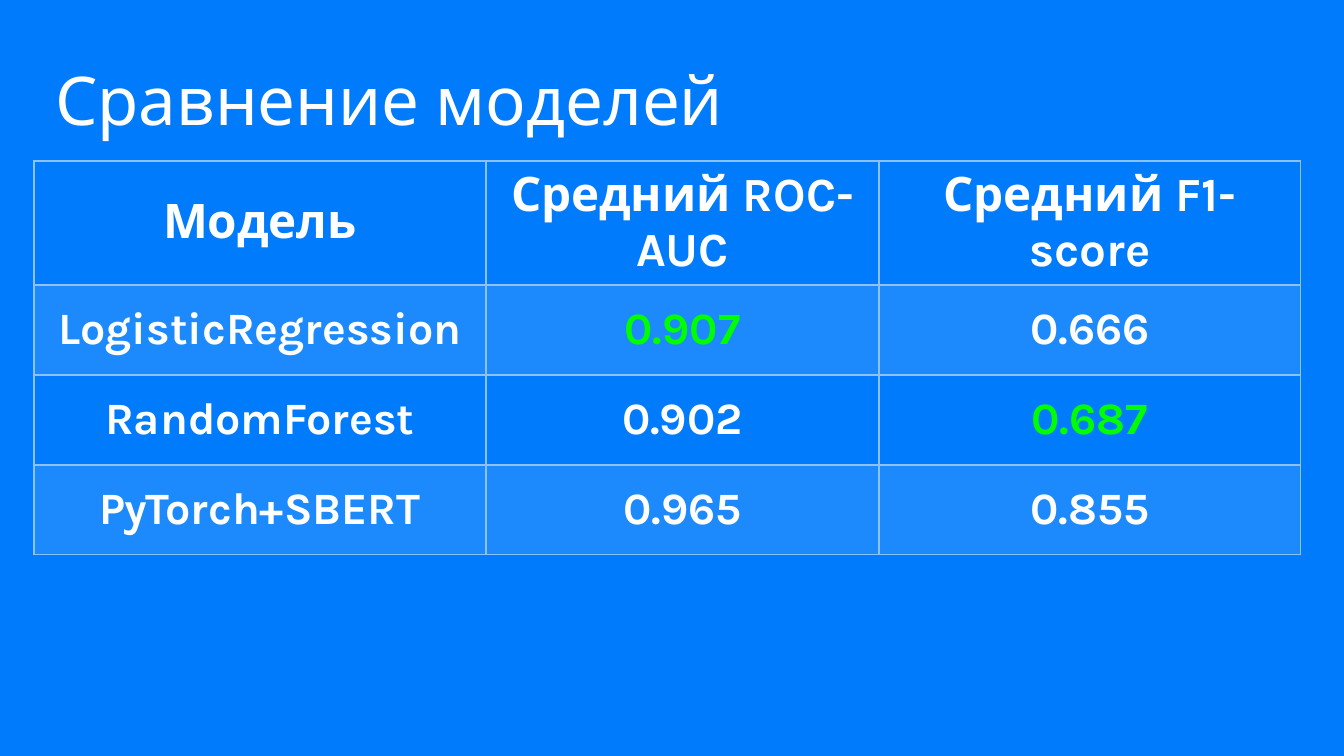
"""Build a slide with a table that compares the scores of three models."""
import lxml.etree
import pptx
import pptx.dml.color
import pptx.enum.text
import pptx.oxml
import pptx.oxml.ns
import pptx.util

PX = 914400 / 100.8
BLUE, PALE, WHITE, GREEN = "007BFC", "8DC1FC", "FEFFFE", "00FE00"
MIDDLE = pptx.enum.text.MSO_ANCHOR.MIDDLE


def px(n):
    return pptx.util.Emu(round(n * PX))


def style(p, color, **values):
    for name, value in values.items():
        setattr(p.font, name, value)
    p.font.name = "Karla"
    p.font.color.rgb = pptx.dml.color.RGBColor.from_string(color)


prs = pptx.Presentation()
prs.slide_width, prs.slide_height = px(1344), px(756)
s = prs.slides.add_slide(prs.slide_layouts[5])
s.background.fill.solid()
s.background.fill.fore_color.rgb = pptx.dml.color.RGBColor.from_string(BLUE)

title = s.shapes.title
title.left, title.top, title.width, title.height = map(px, (55, 68, 1246, 72))
tf = title.text_frame
frame = {"margin_left": 0, "margin_top": 0, "margin_right": 0, "margin_bottom": 0,
         "vertical_anchor": MIDDLE, "word_wrap": True,
         "auto_size": pptx.enum.text.MSO_AUTO_SIZE.NONE}
for name, value in frame.items():
    setattr(tf, name, value)
tf.text = "Сравнение моделей"
p = tf.paragraphs[0]
p.alignment = pptx.enum.text.PP_ALIGN.LEFT
p.line_spacing = 0.9
style(p, "FFFFFF", size=pptx.util.Pt(48))

rows = [
    ("Модель", "Средний ROC-AUC", "Средний F1-score"),
    ("LogisticRegression", "0.907", "0.666"),
    ("RandomForest", "0.902", "0.687"),
    ("PyTorch+SBERT", "0.965", "0.855"),
]
highlighted = {"0.907", "0.687"}
widths = (452, 393, 422)
heights = (124, 90, 90, 90)

table = s.shapes.add_table(len(rows), len(widths), px(34), px(161),
                           px(sum(widths)), px(sum(heights))).table
table.first_row = table.horz_banding = False
for column, width in zip(table.columns, widths):
    column.width = px(width)
for row, height in zip(table.rows, heights):
    row.height = px(height)

for i, texts in enumerate(rows):
    for j, text in enumerate(texts):
        cell = table.cell(i, j)
        cell.text = text
        cell.vertical_anchor = MIDDLE
        p = cell.text_frame.paragraphs[0]
        p.alignment = pptx.enum.text.PP_ALIGN.CENTER
        style(p, GREEN if text in highlighted else WHITE,
              size=pptx.util.Pt(32 if i else 34), bold=True)
        tcPr = cell._tc.get_or_add_tcPr()
        if i % 2:
            cell.fill.solid()
            cell.fill.fore_color.rgb = pptx.dml.color.RGBColor.from_string(PALE)
            srgb = tcPr.find(".//" + pptx.oxml.ns.qn("a:srgbClr"))
            lxml.etree.SubElement(srgb, pptx.oxml.ns.qn("a:alpha"), val="20000")
        else:
            cell.fill.background()
        for k, side in enumerate(("L", "R", "T", "B")):
            thick = (i, side) in {(0, "B"), (1, "T")}
            tcPr.insert(k, pptx.oxml.parse_xml(
                f'<a:ln{side} {pptx.oxml.ns.nsdecls("a")} w="{pptx.util.Pt(2 if thick else 1)}">'
                f'<a:solidFill><a:srgbClr val="{PALE}"/></a:solidFill></a:ln{side}>'))

prs.save("out.pptx")
